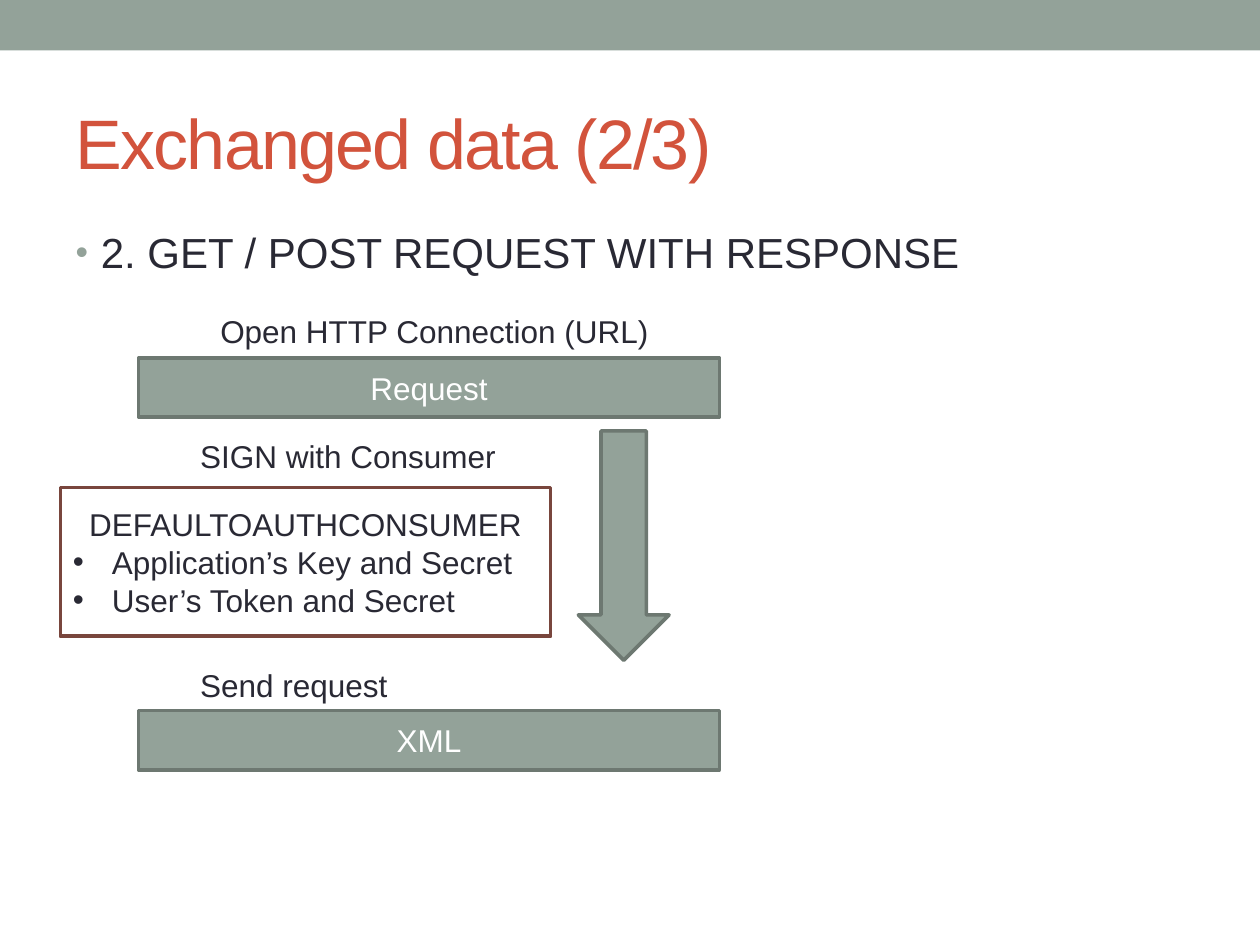
from lxml.etree import SubElement
from pptx import Presentation
from pptx.dml.color import RGBColor
from pptx.enum.shapes import MSO_SHAPE
from pptx.enum.text import MSO_ANCHOR, MSO_AUTO_SIZE, PP_ALIGN
from pptx.oxml.ns import qn
from pptx.util import Inches, Pt

SAGE = RGBColor(0x93, 0xA2, 0x99)
DARK_SAGE = RGBColor(0x6D, 0x78, 0x71)
RUST = RGBColor(0xD2, 0x53, 0x3C)
BROWN = RGBColor(0x79, 0x46, 0x3D)
INK = RGBColor(0x29, 0x29, 0x34)
WHITE = RGBColor(0xFF, 0xFF, 0xFF)

# Shared bar column and gap-free rows, in inches
BAR_LEFT, BAR_WIDTH, BAR_HEIGHT = 1.1, 4.61, 0.47
REQUEST_TOP, STEPS_TOP, XML_TOP = 2.84, 3.42, 5.64


def place(s, left, top, width, height):
    s.left, s.top = Inches(left), Inches(top)
    s.width, s.height = Inches(width), Inches(height)


def write(p, text, size=18, color=INK, align=PP_ALIGN.LEFT, before=0, spacing=None):
    """Fill a paragraph with one formatted run."""
    p.alignment = align
    p.space_before = Pt(before)
    r = p.add_run()
    r.text = text
    r.font.name, r.font.size = "Arial", Pt(size)
    r.font.color.rgb = color
    if spacing is not None:
        r.font._element.set("spc", str(int(spacing * 100)))


def add_bullet(p, indent, color=None, percent=100):
    pPr = p._p.get_or_add_pPr()
    pPr.set("marL", str(Inches(indent)))
    pPr.set("indent", str(-Inches(indent)))
    if color is not None:
        SubElement(SubElement(pPr, qn("a:buClr")), qn("a:srgbClr"), val=str(color))
    SubElement(pPr, qn("a:buSzPct"), val=str(percent * 1000))
    SubElement(pPr, qn("a:buFont"), typeface="Arial")
    SubElement(pPr, qn("a:buChar"), char="•")


def fill_placeholder(s, box, text, **fmt):
    place(s, *box)
    tf = s.text_frame
    tf.auto_size = MSO_AUTO_SIZE.NONE
    write(tf.paragraphs[0], text, **fmt)
    return tf.paragraphs[0]


def add_block(slide, kind, box, fill=SAGE, line=DARK_SAGE):
    s = slide.shapes.add_shape(kind, 0, 0, 0, 0)
    place(s, *box)
    s.shadow.inherit = False
    s.fill.solid()
    s.fill.fore_color.rgb = fill
    if line is None:
        s.line.fill.background()
    else:
        s.line.color.rgb = line
        s.line.width = Pt(2.08)
    s.text_frame.vertical_anchor = MSO_ANCHOR.MIDDLE
    return s


def add_bar(slide, top, text):
    s = add_block(slide, MSO_SHAPE.RECTANGLE, (BAR_LEFT, top, BAR_WIDTH, BAR_HEIGHT))
    write(s.text_frame.paragraphs[0], text, color=WHITE, align=PP_ALIGN.CENTER)


def add_label(slide, box, lines, gap=0):
    tf = slide.shapes.add_textbox(*map(Inches, box)).text_frame
    tf.word_wrap = False
    for i, text in enumerate(lines):
        p = tf.add_paragraph() if i else tf.paragraphs[0]
        write(p, text, before=gap if i else 0)


def add_consumer_box(slide):
    s = add_block(slide, MSO_SHAPE.RECTANGLE, (0.48, 3.87, 3.89, 1.18), WHITE, BROWN)
    tf = s.text_frame
    write(tf.paragraphs[0], "DEFAULTOAUTHCONSUMER", align=PP_ALIGN.CENTER)
    for text in ("Application’s Key and Secret", "User’s Token and Secret"):
        p = tf.add_paragraph()
        write(p, text)
        add_bullet(p, 0.31)


def main():
    prs = Presentation()
    prs.slide_width, prs.slide_height = Inches(10), Inches(7.5)
    slide = prs.slides.add_slide(prs.slide_layouts[1])

    # Top band, title and heading
    add_block(slide, MSO_SHAPE.RECTANGLE, (0, 0, 10, 0.4), line=None)
    title, body = slide.placeholders
    fill_placeholder(title, (0.5, 0.58, 9, 1.08), "Exchanged data (2/3)",
                     size=40, color=RUST, spacing=-1)
    p = fill_placeholder(body, (0.5, 1.75, 9, 5.33),
                         "2. GET / POST REQUEST WITH RESPONSE", size=24, before=4.8)
    add_bullet(p, 0.2, SAGE, 85)

    # Request flow, from connection to XML
    add_consumer_box(slide)
    add_label(slide, (1.65, 2.43, 3.63, 0.4), ["Open HTTP Connection (URL)"])
    add_bar(slide, REQUEST_TOP, "Request")
    add_block(slide, MSO_SHAPE.DOWN_ARROW, (4.59, STEPS_TOP, 0.72, 1.82))
    add_label(slide, (1.49, STEPS_TOP, 2.57, XML_TOP - STEPS_TOP),
              ["SIGN with Consumer", "Send request"], gap=109)
    add_bar(slide, XML_TOP, "XML")

    prs.save("out.pptx")


if __name__ == "__main__":
    main()
